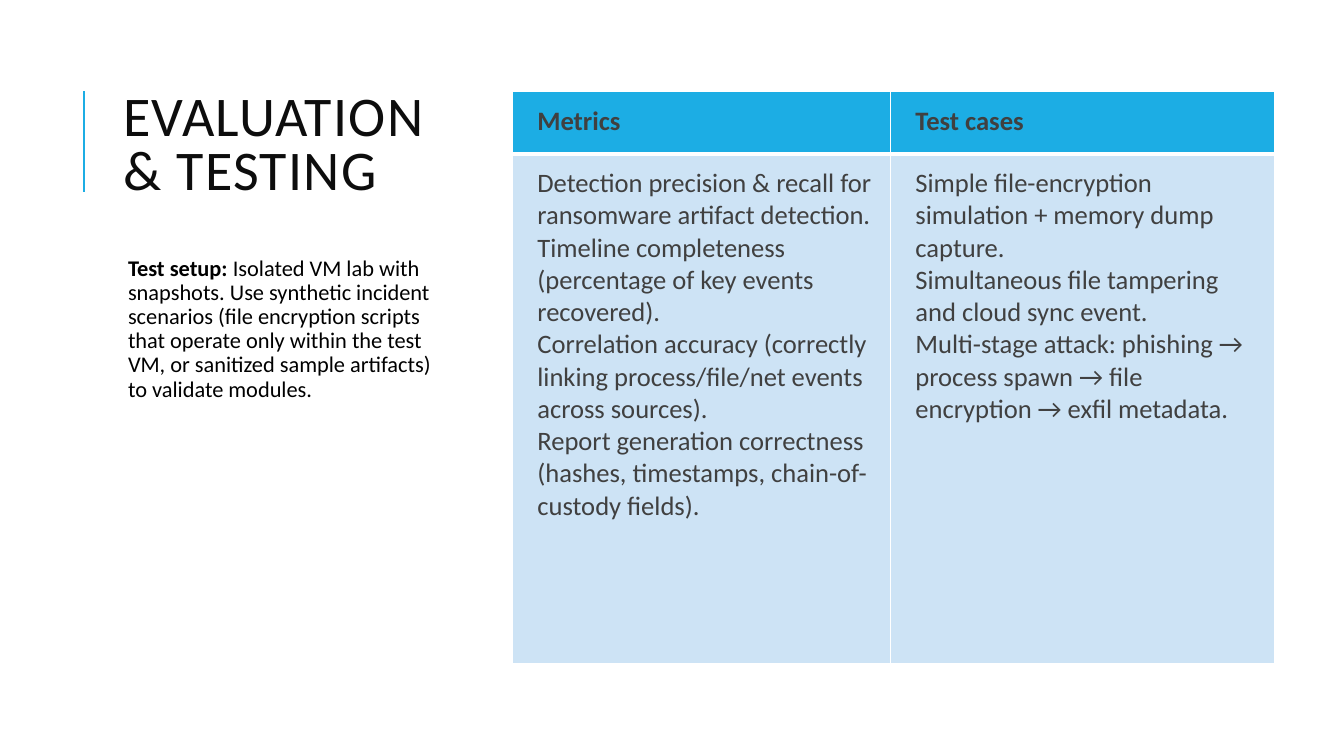
from lxml import etree
from pptx import Presentation
from pptx.dml.color import RGBColor
from pptx.enum.shapes import MSO_CONNECTOR
from pptx.enum.text import MSO_ANCHOR, MSO_AUTO_SIZE, PP_ALIGN
from pptx.oxml.ns import qn
from pptx.util import Inches, Pt

ACCENT, PALE, WHITE = "1CADE4", "CDE3F5", "FFFFFF"
BLACK, TITLE_INK, TABLE_INK = "000000", "0D0D0D", "404040"

METRICS = [
    "Detection precision & recall for ransomware artifact detection.",
    "Timeline completeness (percentage of key events recovered).",
    "Correlation accuracy (correctly linking process/file/net events across sources).",
    "Report generation correctness (hashes, timestamps, chain-of-custody fields).",
]
TEST_CASES = [
    "Simple file-encryption simulation + memory dump capture.",
    "Simultaneous file tampering and cloud sync event.",
    "Multi-stage attack: phishing → process spawn → file encryption → exfil metadata.",
]
SETUP = [
    ("Test setup:", True),
    (" Isolated VM lab with snapshots. Use synthetic incident scenarios (file encryption "
     "scripts that operate only within the test VM, or sanitized sample artifacts) "
     "to validate modules.", False),
]


def rgb(hex_color):
    return RGBColor.from_string(hex_color)


class SlideBuilder:
    """Holds the shared style and the slide being filled."""

    font = "Calibri"

    def __init__(self, slide):
        self.slide = slide

    def add_run(self, paragraph, wording, size, color, bold=False):
        run = paragraph.add_run()
        run.text = wording
        run.font.name = self.font
        run.font.size = Pt(size)
        run.font.bold = bold
        run.font.color.rgb = rgb(color)
        return run

    def title(self, wording, left, top, width, height):
        heading = self.slide.shapes.title
        heading.left, heading.top = Inches(left), Inches(top)
        heading.width, heading.height = Inches(width), Inches(height)
        frame = heading.text_frame
        frame.word_wrap = True
        frame.auto_size = MSO_AUTO_SIZE.NONE
        frame.vertical_anchor = MSO_ANCHOR.MIDDLE
        paragraph = frame.paragraphs[0]
        paragraph.alignment = PP_ALIGN.LEFT
        paragraph.line_spacing = 0.8
        run = self.add_run(paragraph, wording, 40, TITLE_INK)
        run.font._element.set("spc", "100")

    def rule(self, x, top, bottom):
        accent_rule = self.slide.shapes.add_connector(
            MSO_CONNECTOR.STRAIGHT, Inches(x), Inches(bottom), Inches(x), Inches(top))
        accent_rule.line.color.rgb = rgb(ACCENT)
        accent_rule.line.width = Pt(1.5)
        etree.SubElement(accent_rule._element.spPr, qn("a:effectLst"))

    def body(self, runs, left, top, width, height):
        frame = self.slide.shapes.add_textbox(
            Inches(left), Inches(top), Inches(width), Inches(height)).text_frame
        frame.word_wrap = True
        frame.margin_left = Inches(0.15)
        frame.margin_top = frame.margin_right = frame.margin_bottom = Inches(0.05)
        paragraph = frame.paragraphs[0]
        paragraph.line_spacing = 0.9
        paragraph.space_after = Pt(2)
        for wording, bold in runs:
            self.add_run(paragraph, wording, 16, BLACK, bold)

    def cell_borders(self, cell, **widths):
        """Draw white borders; widths are points keyed by side, in L, R, T, B order."""
        properties = cell._tc.get_or_add_tcPr()
        for side, width in widths.items():
            border = etree.SubElement(properties, qn(f"a:ln{side}"), w=str(Pt(width)))
            fill = etree.SubElement(border, qn("a:solidFill"))
            etree.SubElement(fill, qn("a:srgbClr"), val=WHITE)

    def table(self, rows, left, top, column_widths, row_heights):
        """Fill a table whose cells are lists of paragraphs, the first row being the header."""
        grid = self.slide.shapes.add_table(
            len(rows), len(column_widths), Inches(left), Inches(top),
            Inches(sum(column_widths)), Inches(sum(row_heights))).table
        grid.horz_banding = False
        for column, width in zip(grid.columns, column_widths):
            column.width = Inches(width)
        for row, height in zip(grid.rows, row_heights):
            row.height = Inches(height)
        for r, row in enumerate(rows):
            is_header = r == 0
            for c, paragraphs in enumerate(row):
                cell = grid.cell(r, c)
                cell.margin_left = Inches(0.25)
                cell.margin_top = cell.margin_right = cell.margin_bottom = Inches(0.13)
                self.cell_borders(cell, L=1, R=1, T=1 if is_header else 3,
                                  B=3 if is_header else 1)
                cell.fill.solid()
                cell.fill.fore_color.rgb = rgb(ACCENT if is_header else PALE)
                frame = cell.text_frame
                for i, wording in enumerate(paragraphs):
                    paragraph = frame.add_paragraph() if i else frame.paragraphs[0]
                    self.add_run(paragraph, wording, 19, TABLE_INK, is_header)


def main():
    deck = Presentation()
    deck.slide_width, deck.slide_height = Inches(13.33), Inches(7.5)
    builder = SlideBuilder(deck.slides.add_slide(deck.slide_layouts[5]))
    builder.rule(0.83, 0.9, 1.9)
    builder.title("EVALUATION & TESTING", 1.12, 0.64, 3.43, 1.64)
    builder.body(SETUP, 1.12, 2.5, 3.43, 4.3)
    builder.table([[["Metrics"], ["Test cases"]], [METRICS, TEST_CASES]],
                  5.08, 0.91, [3.75, 3.81], [0.62, 5.05])
    deck.save("out.pptx")


if __name__ == "__main__":
    main()
